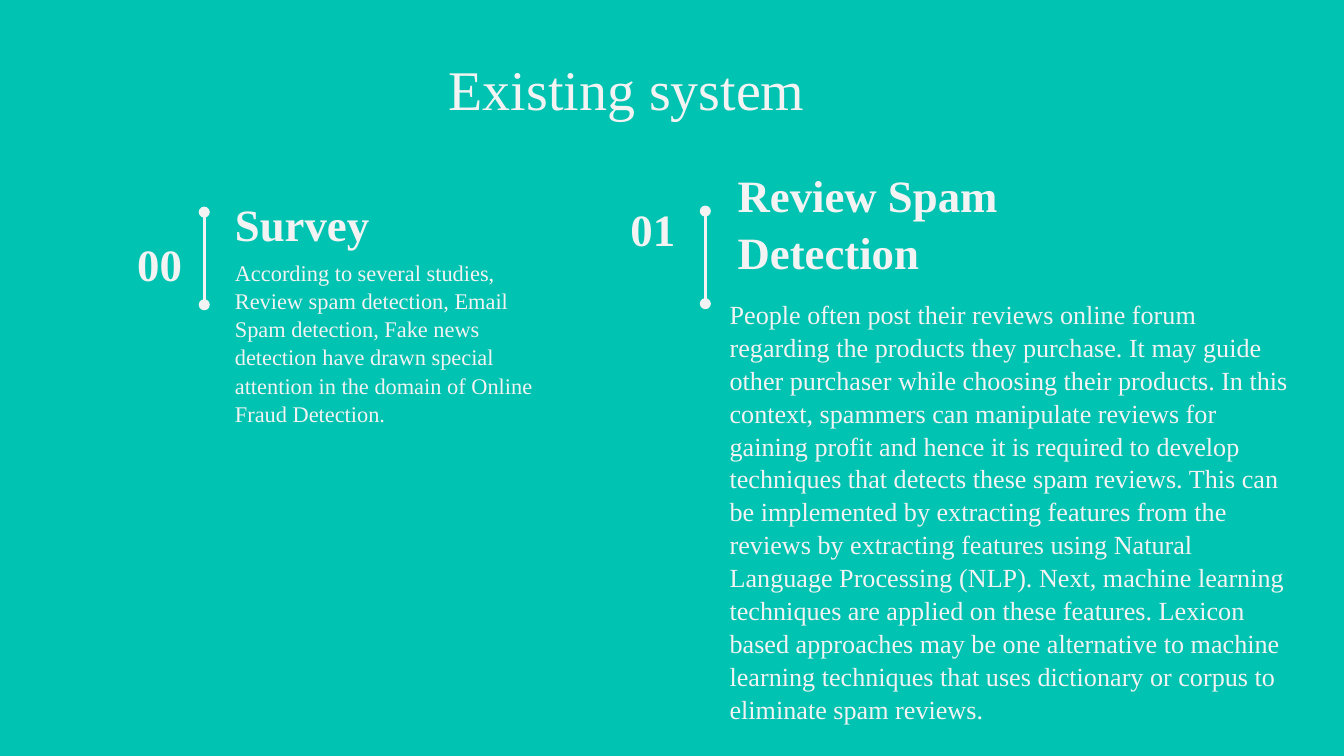
from dataclasses import dataclass

from lxml import etree
from pptx import Presentation
from pptx.dml.color import RGBColor
from pptx.enum.shapes import MSO_CONNECTOR
from pptx.enum.text import MSO_ANCHOR, PP_ALIGN
from pptx.oxml.ns import qn
from pptx.util import Cm, Pt

STRAIGHT = MSO_CONNECTOR.STRAIGHT
TOP, MIDDLE = MSO_ANCHOR.TOP, MSO_ANCHOR.MIDDLE
LEFT, RIGHT = PP_ALIGN.LEFT, PP_ALIGN.RIGHT


@dataclass(frozen=True)
class Theme:
    font: str = "Times New Roman"
    background: RGBColor = RGBColor(0x00, 0xC3, 0xB1)
    ink: RGBColor = RGBColor(0xF3, 0xF3, 0xF3)
    title: int = 30
    heading: int = 24


THEME = Theme()

presentation = Presentation()
presentation.slide_width, presentation.slide_height = Cm(25.4), Cm(14.29)
slide = presentation.slides.add_slide(presentation.slide_layouts[6])
slide.background.fill.solid()
slide.background.fill.fore_color.rgb = THEME.background


def add_text(text, *, box, size, bold=False, align=LEFT, anchor=TOP,
             inset=0.25, spacing=1.05, after=0, indent=0):
    shape = slide.shapes.add_textbox(*(Cm(length) for length in box))
    frame = shape.text_frame
    frame.word_wrap = True
    frame.vertical_anchor = anchor
    frame.margin_left = frame.margin_right = Cm(0.25)
    frame.margin_top = frame.margin_bottom = Cm(inset)
    paragraph = frame.paragraphs[0]
    paragraph.alignment = align
    paragraph.line_spacing = spacing
    paragraph.space_after = Pt(after)
    if indent:
        paragraph._p.get_or_add_pPr().set("marL", str(Cm(indent)))
    run = paragraph.add_run()
    run.text = text
    run.font.name = THEME.font
    run.font.size = Pt(size)
    run.font.bold = bold
    run.font.color.rgb = THEME.ink


# Slide title
add_text("Existing system", box=(3.15, 0.91, 20.62, 1.55), size=THEME.title,
         inset=0.13, spacing=1, indent=5.08)

# Sections: number, heading, divider (x, top) and body text
sections = [
    ("00", (2.01, 4.37), "Survey", 4.19, (3.86, 4.01),
     "According to several studies, Review spam detection, Email Spam "
     "detection, Fake news detection have drawn special attention in the "
     "domain of Online Fraud Detection.",
     (4.19, 4.62, 6.5, 3.84), 12),
    ("01", (11.33, 3.71), "Review Spam Detection", 13.69, (13.33, 3.99),
     "People often post their reviews online forum regarding the products "
     "they purchase. It may guide other purchaser while choosing their "
     "products. In this context, spammers can manipulate reviews for gaining "
     "profit and hence it is required to develop techniques that detects "
     "these spam reviews. This can be implemented by extracting features from "
     "the reviews by extracting features using Natural Language Processing "
     "(NLP). Next, machine learning techniques are applied on these features. "
     "Lexicon based approaches may be one alternative to machine learning "
     "techniques that uses dictionary or corpus to eliminate spam reviews.",
     (13.54, 5.36, 11.3, 8), 14),
]

for number, number_at, heading, heading_left, divider_at, body, body_box, body_size in sections:
    add_text(heading, box=(heading_left, 3.61, 6.5, 1.17), size=THEME.heading,
             bold=True, anchor=MIDDLE)
    add_text(body, box=body_box, size=body_size, after=16)
    add_text(number, box=(*number_at, 1.68, 1.17), size=THEME.heading,
             bold=True, align=RIGHT, anchor=MIDDLE)

    # Vertical divider with round ends
    x, top = divider_at
    divider = slide.shapes.add_connector(STRAIGHT, Cm(x), Cm(top), Cm(x), Cm(top + 1.75))
    divider.line.color.rgb = THEME.ink
    divider.line.width = Pt(1.5)
    line = divider.line._get_or_add_ln()
    for end in ("a:headEnd", "a:tailEnd"):
        etree.SubElement(line, qn(end), type="oval")
    etree.SubElement(divider._element.spPr, qn("a:effectLst"))

presentation.save("out.pptx")
